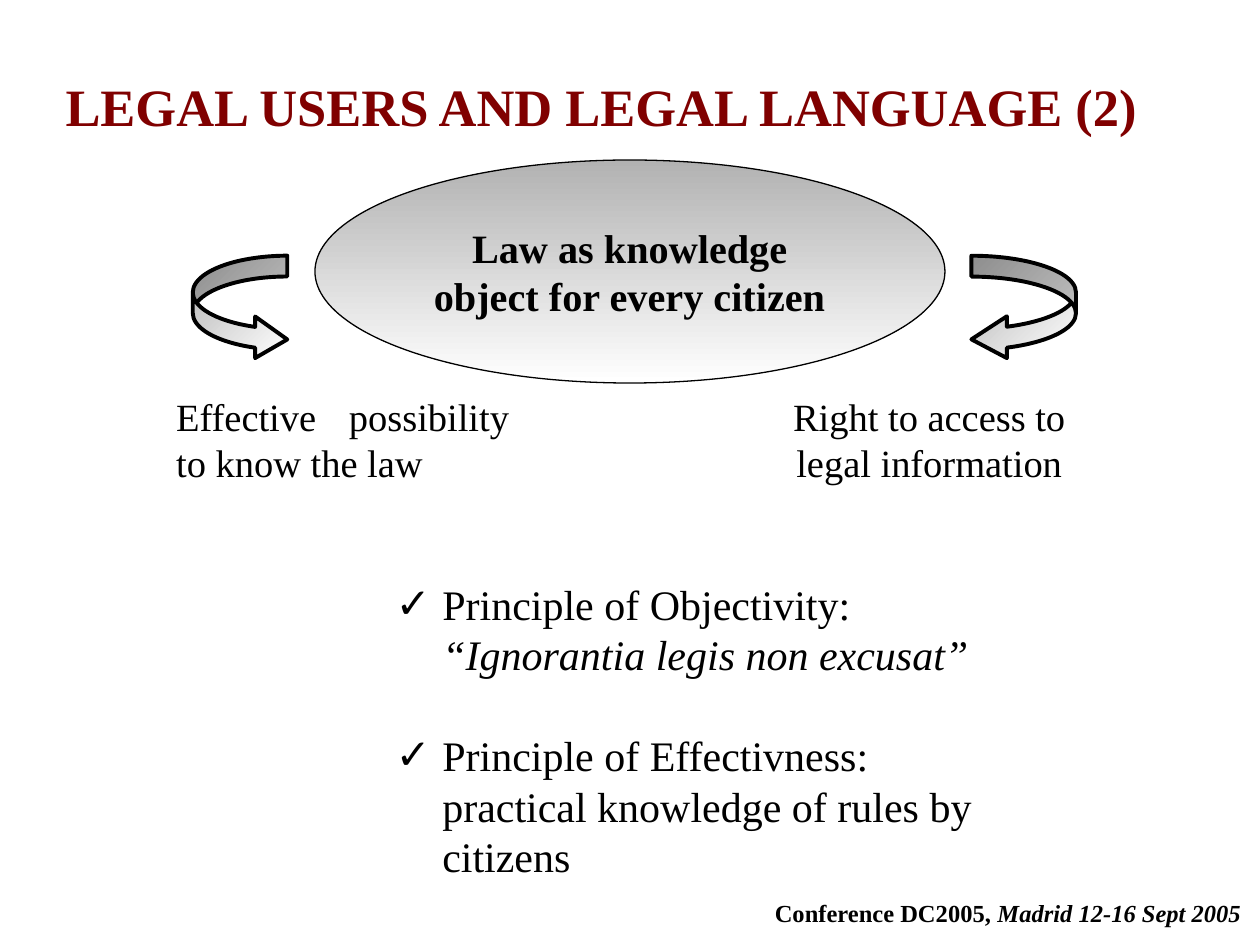
from lxml import etree
from pptx import Presentation
from pptx.dml.color import RGBColor
from pptx.enum.shapes import MSO_SHAPE
from pptx.enum.text import MSO_ANCHOR, MSO_AUTO_SIZE, PP_ALIGN
from pptx.oxml.ns import qn
from pptx.util import Inches, Pt

LEFT, CENTER, JUSTIFY = PP_ALIGN.LEFT, PP_ALIGN.CENTER, PP_ALIGN.JUSTIFY
TOP, MIDDLE = MSO_ANCHOR.TOP, MSO_ANCHOR.MIDDLE
NO_AUTOFIT = MSO_AUTO_SIZE.NONE
ELLIPSE = MSO_SHAPE.OVAL
ARROW_RIGHT, ARROW_LEFT = MSO_SHAPE.CURVED_RIGHT_ARROW, MSO_SHAPE.CURVED_LEFT_ARROW


def color(value):
    return RGBColor.from_string(value)


class SlideBuilder:
    """Holds the style and the current slide, and adds its elements."""

    font = "Times New Roman"
    black, white, gray, maroon = "000000", "FFFFFF", "B2B2B2", "800000"

    def __init__(self, slide):
        self.slide = slide

    def place(self, sp, box):
        sp.left, sp.top, sp.width, sp.height = (Inches(v) for v in box)

    def style(self, p, size, align, bold=False, italic=False, fill=black):
        p.alignment = align
        p.space_before = Pt(0)
        for r in p.runs:
            r.font.name, r.font.size = self.font, Pt(size)
            r.font.bold, r.font.italic = bold, italic
            r.font.color.rgb = color(fill)

    def fill_text(self, sp, text, size, align, anchor=TOP, **look):
        tf = sp.text_frame
        tf.text = text
        tf.word_wrap = True
        tf.auto_size = NO_AUTOFIT
        tf.vertical_anchor = anchor
        for p in tf.paragraphs:
            self.style(p, size, align, **look)
        return tf

    def title(self, text, box):
        sp = self.slide.shapes.title
        self.place(sp, box)
        self.fill_text(sp, text, 30, LEFT, MIDDLE, bold=True, fill=self.maroon)

    def text(self, text, box, size, align, **look):
        sp = self.slide.shapes.add_textbox(*(Inches(v) for v in box))
        return self.fill_text(sp, text, size, align, **look)

    def principles(self, items, box, size=24, indent=0.37):
        sp = self.slide.placeholders[1]
        self.place(sp, box)
        lines = [line for heading, details, _ in items for line in (heading, *details)]
        tf = self.fill_text(sp, "\n".join(lines), size, LEFT)
        paragraphs = iter(tf.paragraphs)
        for i, (_, details, italic) in enumerate(items):
            heading = next(paragraphs)
            self.bullet(heading, "✓", indent)
            if i:
                heading.space_before = Pt(29)
            for _ in details:
                p = next(paragraphs)
                self.bullet(p, None, indent)
                self.style(p, size, LEFT, italic=italic)

    def bullet(self, p, char, indent):
        pPr = p._p.get_or_add_pPr()
        pPr.set("marL", str(Inches(indent)))
        pPr.set("indent", str(-Inches(indent) if char else 0))
        if char:
            etree.SubElement(pPr, qn("a:buChar")).set("char", char)
        else:
            etree.SubElement(pPr, qn("a:buNone"))

    def shape(self, kind, box, stops, angle, line_width, adjustments=()):
        sp = self.slide.shapes.add_shape(kind, *(Inches(v) for v in box))
        sp.shadow.inherit = False
        for i, value in enumerate(adjustments):
            sp.adjustments[i] = value
        sp.fill.gradient()
        sp.fill.gradient_angle = angle
        for stop, value in zip(sp.fill.gradient_stops, stops):
            stop.color.rgb = color(value)
        sp.line.color.rgb = color(self.black)
        sp.line.width = Pt(line_width)
        return sp

    def ellipse(self, text, box):
        sp = self.shape(ELLIPSE, box, (self.gray, self.white), 270, 0.75)
        self.fill_text(sp, text, 23, CENTER, MIDDLE, bold=True)

    def curved_arrow(self, kind, box, adjustments):
        self.shape(kind, box, (self.white, self.gray), 135, 2.25, adjustments)

    def footer(self, text, italic_text, box):
        p = self.text(text, box, 14, CENTER).paragraphs[0]
        p.add_run().text = italic_text
        self.style(p, 14, CENTER, bold=True)
        p.runs[1].font.italic = True


def main():
    prs = Presentation()
    prs.slide_width, prs.slide_height = Inches(10), Inches(7.5)
    s = SlideBuilder(prs.slides.add_slide(prs.slide_layouts[1]))

    s.title("LEGAL USERS AND LEGAL LANGUAGE (2)", (0.42, 0.42, 9.58, 0.83))
    s.principles(
        [
            ("Principle of Objectivity:", ["“Ignorantia legis non excusat”"], True),
            ("Principle of Effectivness:",
             ["practical knowledge of rules by", "citizens"], False),
        ],
        (3.04, 4.54, 5.04, 2.6),
    )
    s.ellipse("Law as knowledge object for every citizen", (2.5, 1.27, 5, 1.77))
    s.curved_arrow(ARROW_RIGHT, (1.53, 2.03, 0.75, 0.83), (0.22, 0.44, 0.34))
    s.curved_arrow(ARROW_LEFT, (7.71, 2.03, 0.83, 0.83), (0.2, 0.4, 0.34))
    s.text("Effective possibility to know the law", (1.3, 3.07, 2.84, 1.2), 22, JUSTIFY)
    s.text("Right to access to\nlegal information", (6.01, 3.07, 2.73, 0.84), 22, CENTER)
    s.footer("Conference DC2005,", " Madrid 12-16 Sept 2005", (5.77, 7.08, 4.46, 0.34))

    prs.save("out.pptx")


if __name__ == "__main__":
    main()
